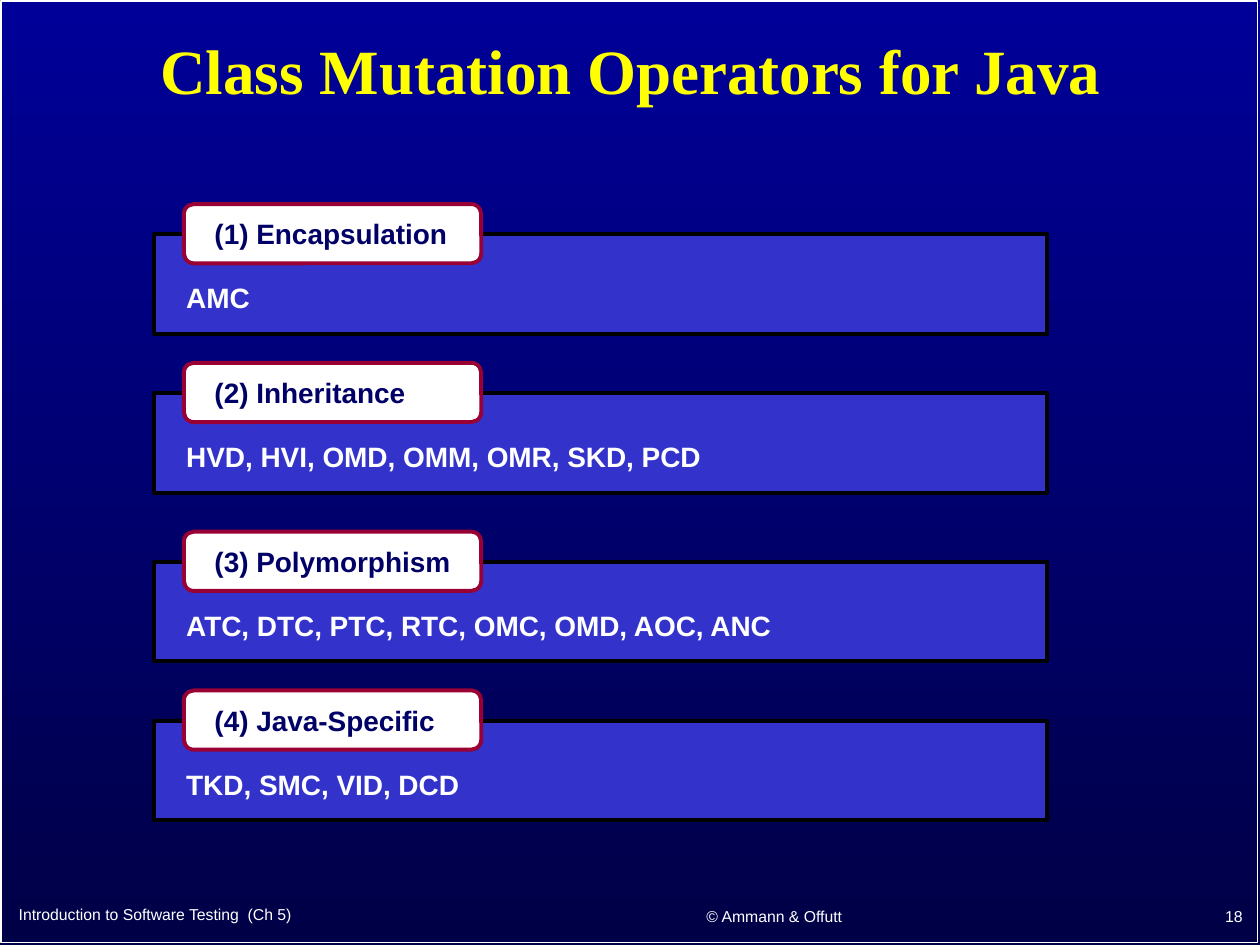
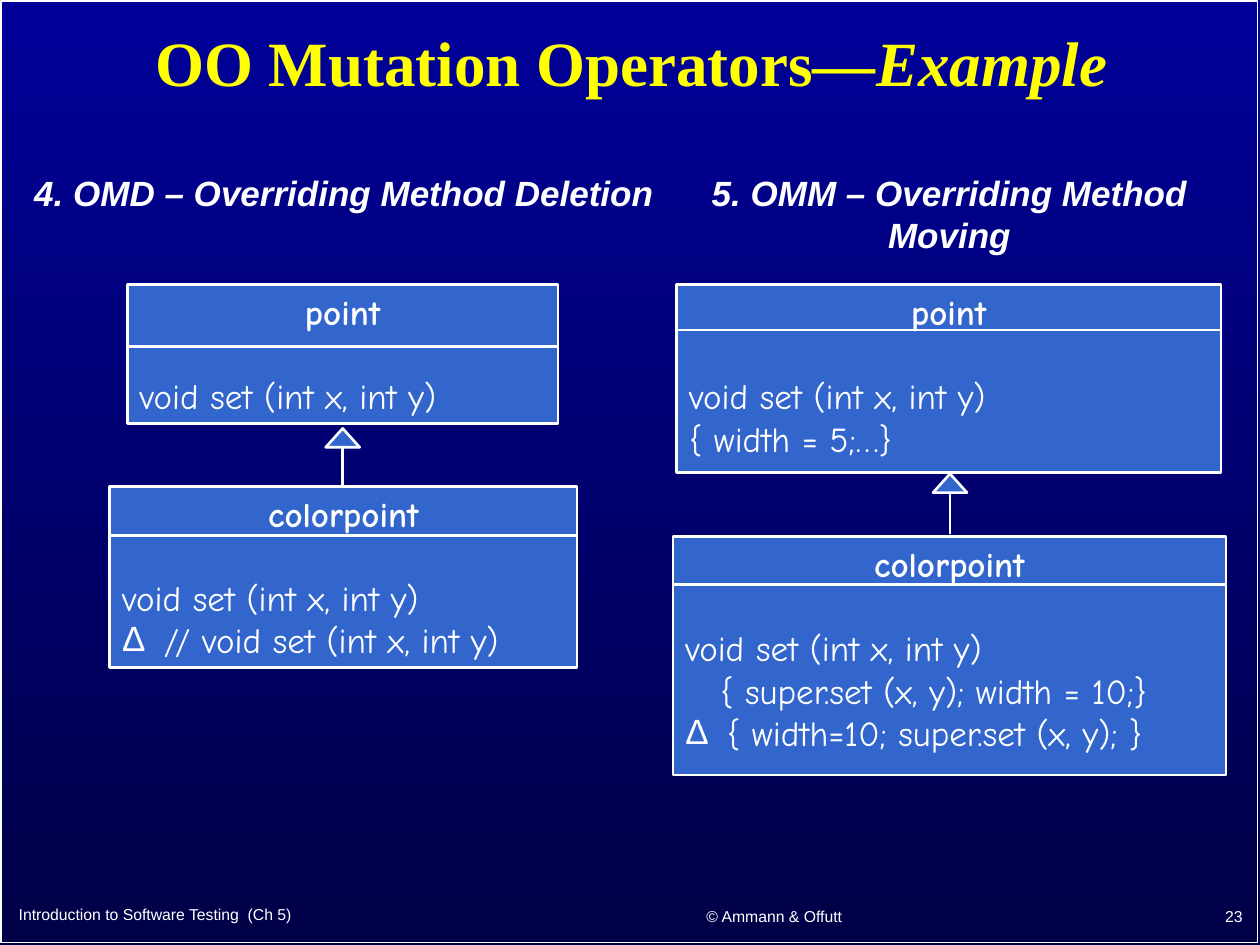
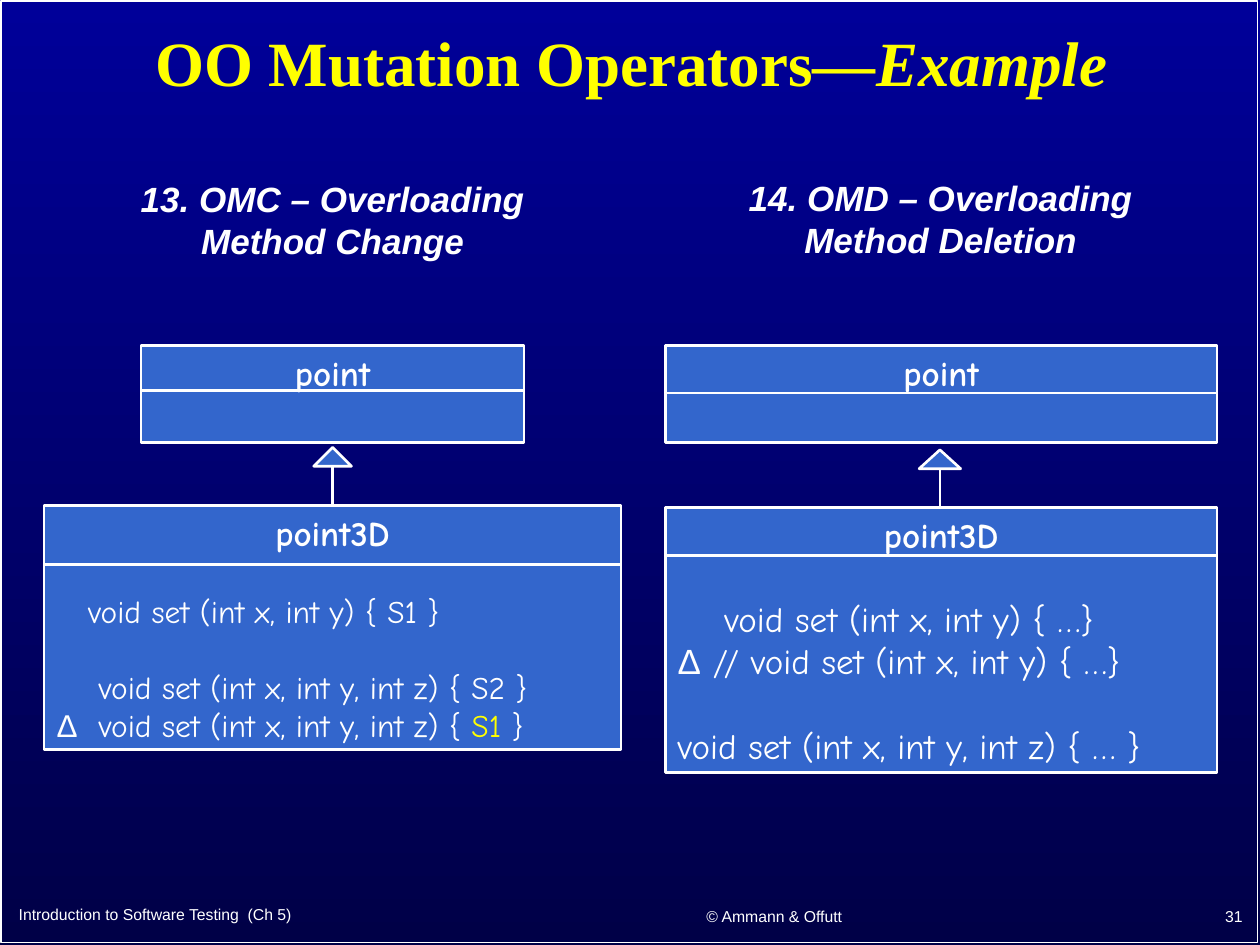
from lxml import etree
from pptx import Presentation
from pptx.dml.color import RGBColor
from pptx.enum import shapes, text
from pptx.oxml import ns
from pptx.util import Inches, Pt

COLORS = {
    "top": "000099", "bottom": "000047", "white": "FFFFFF", "black": "000000",
    "yellow": "FFFF00", "bar": "3333CC", "label_line": "990033",
    "label_text": "000066", "class_fill": "3366CC",
}
RGB = {name: RGBColor.from_string(value) for name, value in COLORS.items()}
SHAPE = shapes.MSO_SHAPE
ALIGN = text.PP_ALIGN
ANCHOR = text.MSO_ANCHOR
CODE = "Comic Neue"


def write(tf, content, size=20, font="Arial", color="white", bold=False, italic=False,
          align=ALIGN.LEFT, gap=0, spacing=None, bullet=None, indent=0.24):
    """Add a paragraph; content is a string or a list of (text, run overrides)."""
    p = tf.add_paragraph() if tf.text else tf.paragraphs[0]
    p.alignment = align
    if gap:
        p.space_before = Pt(gap)
    if spacing:
        p.line_spacing = spacing
    if bullet:
        pPr = p._p.get_or_add_pPr()
        pPr.set("marL", str(Inches(indent)))
        pPr.set("indent", str(-Inches(indent)))
        clr = etree.SubElement(pPr, ns.qn("a:buClr"))
        etree.SubElement(clr, ns.qn("a:srgbClr"), val=COLORS[color])
        etree.SubElement(pPr, ns.qn("a:buFont"), typeface="Arial")
        etree.SubElement(pPr, ns.qn("a:buChar"), char=bullet)
    for words, changes in [(content, {})] if isinstance(content, str) else content:
        look = {"font": font, "color": color, "italic": italic, **changes}
        r = p.add_run()
        r.text = words
        r.font.size = Pt(size)
        r.font.bold = bold
        r.font.name = look["font"]
        r.font.italic = look["italic"]
        r.font.color.rgb = RGB[look["color"]]


def add_box(s, kind, x, y, w, h, fill, line, width):
    sp = s.shapes.add_shape(kind, Inches(x), Inches(y), Inches(w), Inches(h))
    sp.shadow.inherit = False
    if fill:
        sp.fill.solid()
        sp.fill.fore_color.rgb = RGB[fill]
    else:
        sp.fill.background()
    sp.line.color.rgb = RGB[line]
    sp.line.width = Pt(width)
    sp.text_frame.word_wrap = True
    return sp


prs = Presentation()
prs.slide_width, prs.slide_height = Inches(10), Inches(7.5)

fill = prs.slide_master.background.fill
fill.gradient()
fill.gradient_angle = 270
for stop, name in zip(fill.gradient_stops, ("top", "bottom")):
    stop.color.rgb = RGB[name]

# Frame, title and footers of every slide
example = [("OO Mutation Operators—", {}), ("Example", {"italic": True})]
pages = [
    ("18", "Class Mutation Operators for Java", (0.6, 0.07, 8.81, 1.04)),
    ("23", example, (0.19, 0.11, 9.64, 0.83)),
    ("31", example, (0.19, 0.11, 9.64, 0.83)),
]
for number, title, place in pages:
    s = prs.slides.add_slide(prs.slide_layouts[5])
    add_box(s, SHAPE.RECTANGLE, 0.01, 0.01, 9.97, 7.47, None, "white", 1)
    sp = s.shapes.title
    sp.left, sp.top, sp.width, sp.height = map(Inches, place)
    tf = sp.text_frame
    tf.auto_size = text.MSO_AUTO_SIZE.NONE
    tf.vertical_anchor = ANCHOR.MIDDLE
    write(tf, title, size=36, font="Times New Roman", color="yellow", bold=True,
          align=ALIGN.CENTER, spacing=0.9)
    footers = [
        ("Introduction to Software Testing  (Ch 5)", 0.05, 7.11, 4.24, 0.3, ALIGN.LEFT),
        ("© Ammann & Offutt", 4.56, 7.12, 3.17, 0.31, ALIGN.CENTER),
        (number, 7.88, 7.11, 2.08, 0.32, ALIGN.RIGHT),
    ]
    for words, x, y, w, h, align in footers:
        tf = s.shapes.add_textbox(Inches(x), Inches(y), Inches(w), Inches(h)).text_frame
        tf.word_wrap = True
        tf.vertical_anchor = ANCHOR.MIDDLE
        write(tf, words, size=9, align=align)

# Slide 1: operator groups
groups = [
    (1.86, "(1) Encapsulation", "AMC"),
    (3.12, "(2) Inheritance", "HVD, HVI, OMD, OMM, OMR, SKD, PCD"),
    (4.46, "(3) Polymorphism", "ATC, DTC, PTC, RTC, OMC, OMD, AOC, ANC"),
    (5.72, "(4) Java-Specific", "TKD, SMC, VID, DCD"),
]
s = prs.slides[0]
for y, label, operators in groups:
    add_box(s, SHAPE.RECTANGLE, 1.22, y, 7.09, 0.79, "bar", "black", 2.25)
    sp = add_box(s, SHAPE.ROUNDED_RECTANGLE, 1.46, y - 0.24, 2.36, 0.47,
                 "white", "label_line", 2.25)
    sp.text_frame.margin_left = Inches(0.22)
    sp.text_frame.vertical_anchor = ANCHOR.MIDDLE
    write(sp.text_frame, label, size=16, color="label_text", bold=True)
    tf = s.shapes.add_textbox(Inches(1.38), Inches(y + 0.32), Inches(5.67), Inches(0.37)).text_frame
    tf.word_wrap = True
    write(tf, operators, size=16, bold=True)

# Slides 2 and 3: headings of the examples
headings = [
    (1, "4. OMD – Overriding Method Deletion", 0.17, 1.31, 5.12, 0.44),
    (1, "5. OMM – Overriding Method Moving", 5.33, 1.31, 4.41, 0.77),
    (2, "13. OMC – Overloading Method Change", 0.79, 1.36, 3.7, 0.77),
    (2, "14. OMD – Overloading Method Deletion", 5.82, 1.35, 3.29, 0.77),
]
for index, words, x, y, w, h in headings:
    tf = prs.slides[index].shapes.add_textbox(
        Inches(x), Inches(y), Inches(w), Inches(h)).text_frame
    tf.word_wrap = h > 0.5
    write(tf, words, bold=True, italic=True, align=ALIGN.CENTER)

# Classes: slide, box, divider height, name, code lines with their format
setter = "void set (int x, int y)"
setter_3d = "void set (int x, int y, int z)"
blank = {"gap": 24}
small, small_blank = {"size": 18}, {"size": 18, "gap": 22}
delta = ("Δ", {"font": "Arial"})
classes = [
    (1, (1.01, 2.26, 3.42, 1.1), 2.75, "point", [(setter, blank)]),
    (1, (0.87, 3.86, 3.71, 1.44), 4.25, "colorpoint",
     [(setter, blank), (f" // {setter}", {"bullet": "Δ"})]),
    (1, (5.37, 2.26, 4.32, 1.49), 2.62, "point",
     [(setter, blank), ("{ width = 5;…}", {})]),
    (1, (5.34, 4.26, 4.39, 1.89), 4.64, "colorpoint",
     [(setter, blank), ("   { super.set (x, y); width = 10;}", {}),
      (" { width=10; super.set (x, y); }", {"bullet": "Δ"})]),
    (2, (1.12, 2.74, 3.04, 0.77), 3.1, "point", []),
    (2, (0.35, 4.01, 4.58, 1.94), 4.48, "point3D",
     [(f"   {setter} {{ S1 }}", small_blank),
      (f"    {setter_3d} {{ S2 }}", small_blank),
      ([delta, (f"  {setter_3d} {{ ", {}), ("S1", {"color": "yellow"}), (" }", {})], small)]),
    (2, (5.28, 2.74, 4.38, 0.77), 3.12, "point", []),
    (2, (5.28, 4.03, 4.38, 2.1), 4.41, "point3D",
     [(f"    {setter} {{ …}}", blank),
      ([delta, (f" // {setter} {{ …}}", {})], {}),
      (f"{setter_3d} {{ … }}", blank)]),
]
strokes = []
for index, (x, y, w, h), divider, name, lines in classes:
    s = prs.slides[index]
    tf = add_box(s, SHAPE.RECTANGLE, x, y, w, h, "class_fill", "white", 1.5).text_frame
    tf.vertical_anchor = ANCHOR.TOP
    write(tf, name, font=CODE, bold=True, align=ALIGN.CENTER)
    for words, look in lines:
        write(tf, words, font=CODE, **look)
    strokes.append((s, x, divider, x + w, divider))

# Inheritance arrows: slide, centre, tip, head width, top of the child class
arrows = [
    (1, 2.72, 3.4, 0.27, 3.86),
    (1, 7.54, 3.76, 0.27, 4.24),
    (2, 2.64, 3.55, 0.3, 4.01),
    (2, 7.46, 3.57, 0.33, 4.03),
]
for index, center, tip, width, child in arrows:
    s = prs.slides[index]
    add_box(s, SHAPE.ISOSCELES_TRIANGLE, center - width / 2, tip, width, 0.15,
            "class_fill", "white", 1.5)
    strokes.append((s, center, tip + 0.15, center, child))

for s, *ends in strokes:
    line = s.shapes.add_connector(shapes.MSO_CONNECTOR.STRAIGHT, *map(Inches, ends))
    line.line.color.rgb = RGB["white"]
    line.line.width = Pt(1.5)
    etree.SubElement(line._element.spPr, ns.qn("a:effectLst"))

prs.save("out.pptx")
